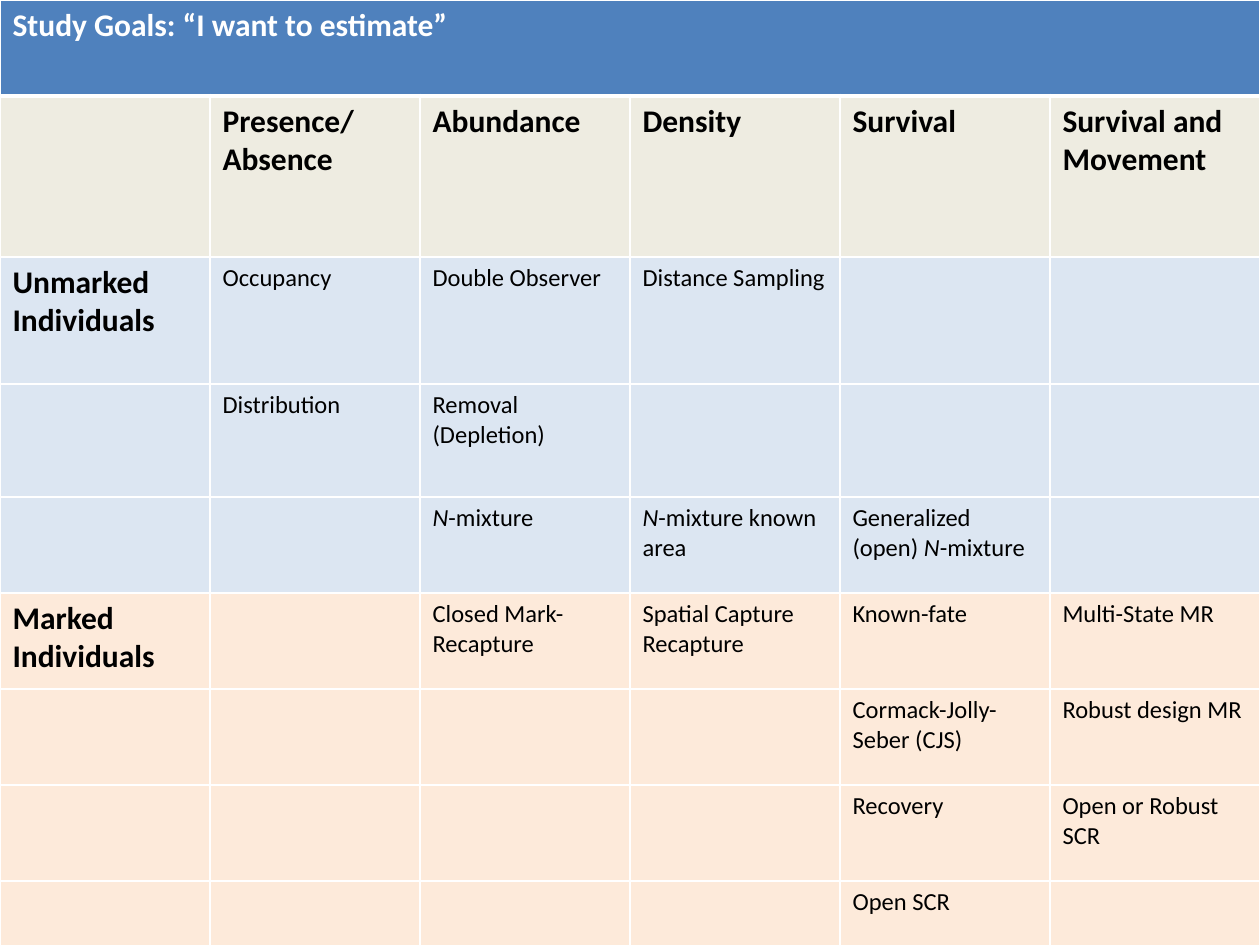
"""Build a slide with a table of study goals and estimation methods."""
from pptx import Presentation
from pptx.dml.color import RGBColor
from pptx.oxml import parse_xml
from pptx.oxml.ns import nsdecls
from pptx.util import Emu, Pt

PIXEL = 914400 // 126
HEADER, GOALS, UNMARKED, MARKED = "4F81BD", "EEECE1", "DCE6F2", "FDEADA"
WHITE, BLACK = "FFFFFF", "000000"


def write(cell, text, size=14, bold=False, color=BLACK):
    """Write text into a cell, with the parts between asterisks in italics."""
    para = cell.text_frame.paragraphs[0]
    for index, part in enumerate(text.split("*")):
        if part:
            span = para.add_run()
            span.text = part
            font = span.font
            font.name, font.size, font.bold = "Calibri", Pt(size), bold
            font.italic = index % 2 == 1
            font.color.rgb = RGBColor.from_string(color)


def style(cell, fill, top=1, bottom=1):
    """Fill a cell and give it white borders, with widths in points."""
    cell.fill.solid()
    cell.fill.fore_color.rgb = RGBColor.from_string(fill)
    properties = cell._tc.get_or_add_tcPr()
    for place, (side, width) in enumerate(zip("LRTB", (1, 1, top, bottom))):
        properties.insert(place, parse_xml(
            f'<a:ln{side} {nsdecls("a")} w="{Pt(width)}"><a:solidFill>'
            f'<a:srgbClr val="{WHITE}"/></a:solidFill></a:ln{side}>'))


rows = [
    (96, HEADER, ["Study Goals: “I want to estimate”", "", "", "", "", ""]),
    (161, GOALS, ["", "Presence/Absence", "Abundance", "Density", "Survival",
                  "Survival and Movement"]),
    (127, UNMARKED, ["Unmarked Individuals", "Occupancy", "Double Observer",
                     "Distance Sampling", "", ""]),
    (113, UNMARKED, ["", "Distribution", "Removal (Depletion)", "", "", ""]),
    (96, UNMARKED, ["", "", "*N*-mixture", "*N*-mixture known area",
                    "Generalized (open) *N*-mixture", ""]),
    (96, MARKED, ["Marked Individuals", "", "Closed Mark-Recapture",
                  "Spatial Capture Recapture", "Known-fate", "Multi-State MR"]),
    (96, MARKED, ["", "", "", "", "Cormack-Jolly-Seber (CJS)", "Robust design MR"]),
    (96, MARKED, ["", "", "", "", "Recovery", "Open or Robust SCR"]),
    (96, MARKED, ["", "", "", "", "Open SCR", ""]),
]

deck = Presentation()
deck.slide_width, deck.slide_height = Emu(1260 * PIXEL), Emu(945 * PIXEL)
page = deck.slides.add_slide(deck.slide_layouts[6])
height = sum(row[0] for row in rows)
table = page.shapes.add_table(
    len(rows), 6, 0, 0, deck.slide_width, Emu(height * PIXEL)).table
for column in table.columns:
    column.width = Emu(210 * PIXEL)

for r, (row_height, fill, texts) in enumerate(rows):
    table.rows[r].height = Emu(row_height * PIXEL)
    for c, text in enumerate(texts):
        cell = table.cell(r, c)
        style(cell, fill, top=3 if r == 1 else 1, bottom=3 if r == 0 else 1)
        heading = r < 2 or c == 0
        write(cell, text, size=18 if heading else 14, bold=heading,
              color=WHITE if r == 0 else BLACK)
table.cell(0, 0).merge(table.cell(0, 5))

deck.save("out.pptx")
